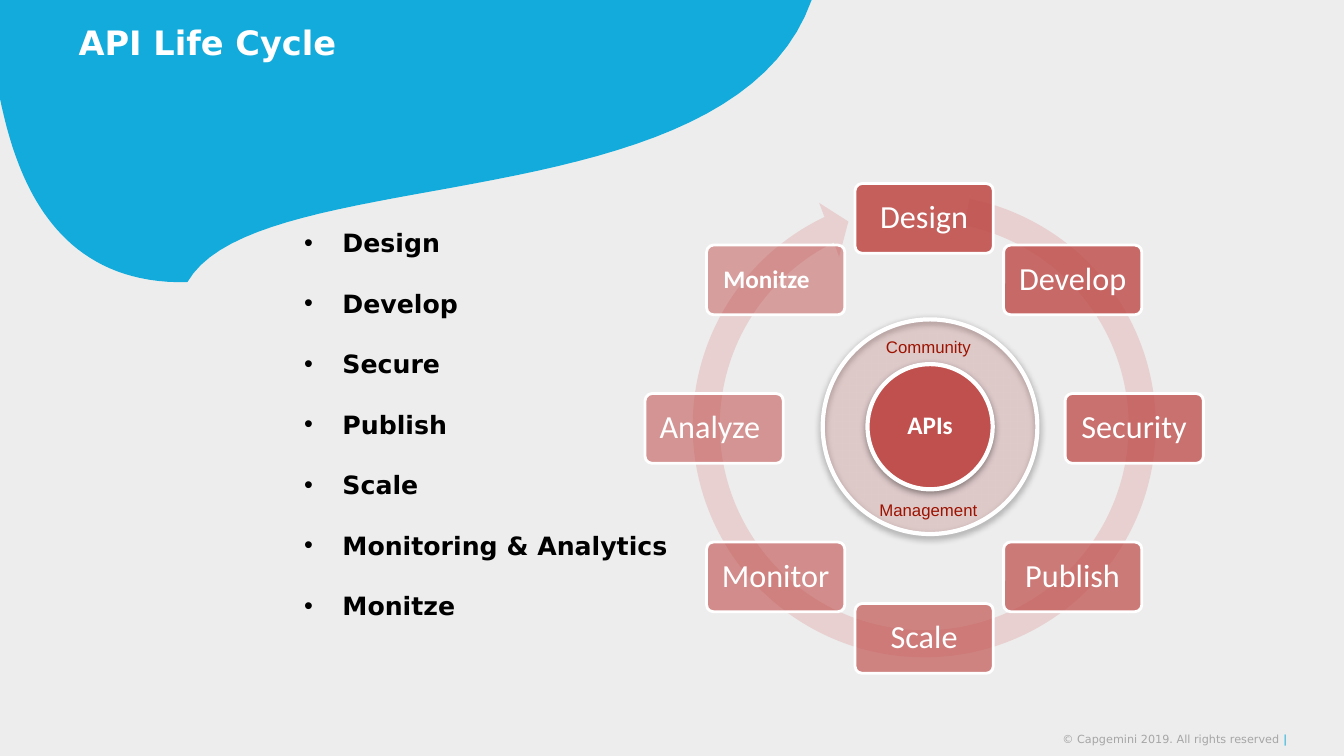
from math import cos, radians, sin

from lxml import etree
from pptx import Presentation
from pptx.dml.color import RGBColor
from pptx.enum.shapes import MSO_SHAPE
from pptx.enum.text import MSO_ANCHOR, MSO_AUTO_SIZE, PP_ALIGN
from pptx.oxml.ns import qn
from pptx.util import Inches, Pt

OVAL, ROUND, ARROW = MSO_SHAPE.OVAL, MSO_SHAPE.ROUNDED_RECTANGLE, MSO_SHAPE.CIRCULAR_ARROW
LEFT, CENTER, RIGHT = PP_ALIGN.LEFT, PP_ALIGN.CENTER, PP_ALIGN.RIGHT
TOP, MIDDLE = MSO_ANCHOR.TOP, MSO_ANCHOR.MIDDLE
FIXED = MSO_AUTO_SIZE.NONE

WHITE = RGBColor(0xFF, 0xFF, 0xFF)
BLACK = RGBColor(0, 0, 0)
PAPER = RGBColor(0xED, 0xED, 0xED)
BLUE = RGBColor(0x12, 0xAB, 0xDB)
GRAY = RGBColor(0xA6, 0xA6, 0xA6)
PINK = RGBColor(0xE8, 0xD0, 0xD0)
BRICK = RGBColor(0xC0, 0x50, 0x4D)
RED = RGBColor(0xC0, 0, 0)
WINE = RGBColor(0x9C, 0x12, 0)

SANS, BODY, LABEL = "DejaVu Sans", "Calibri", "Arial"
CELL = Inches(7.5) / 18  # the slide is 32 columns by 18 rows


def grid(*cells):
    return [round(cell * CELL) for cell in cells]


def curve(start, first, second, end, steps=40):
    """Return points along a cubic curve, without its start."""
    points = []
    for step in range(1, steps + 1):
        t = step / steps
        parts = ((1 - t) ** 3, 3 * t * (1 - t) ** 2, 3 * t * t * (1 - t), t ** 3)
        points.append(tuple(
            sum(part * value for part, value in zip(parts, axis))
            for axis in zip(start, first, second, end)))
    return points


class Page:
    def __init__(self, deck):
        self.slide = deck.slides.add_slide(deck.slide_layouts[1])
        self.shapes = self.slide.shapes
        self.slide.background.fill.solid()
        self.slide.background.fill.fore_color.rgb = PAPER

    def place(self, holder, box):
        holder.left, holder.top, holder.width, holder.height = grid(*box)

    def frame(self, shape, anchor=MIDDLE, pads=(0, 0, 0, 0), wrap=True):
        """Set up a text frame; pads are left, top, right, bottom in inches."""
        frame = shape.text_frame
        frame.auto_size = FIXED
        frame.word_wrap = wrap
        frame.vertical_anchor = anchor
        (frame.margin_left, frame.margin_top,
         frame.margin_right, frame.margin_bottom) = map(Inches, pads)
        return frame

    def run(self, para, text, size, color, font=SANS, bold=False):
        run = para.add_run()
        run.text = text
        run.font.size, run.font.name, run.font.bold = Pt(size), font, bold
        run.font.color.rgb = color

    def title(self, text, box):
        self.place(self.shapes.title, box)
        para = self.frame(self.shapes.title, pads=(0.3, 0.04, 0, 0)).paragraphs[0]
        para.alignment, para.line_spacing = LEFT, 0.9
        self.run(para, text, 24, WHITE, bold=True)

    def bullets(self, items, box):
        body = self.slide.placeholders[1]
        self.place(body, box)
        frame = self.frame(body, TOP, (0.1, 0.05, 0.1, 0.05))
        for i, item in enumerate(items):
            para = frame.add_paragraph() if i else frame.paragraphs[0]
            props = para._p.get_or_add_pPr()
            props.set("marL", str(Inches(0.38)))
            props.set("indent", str(-Inches(0.38)))
            para.line_spacing, para.space_before = 2.0, Pt(0)
            etree.SubElement(props, qn("a:buFont"), typeface=LABEL)
            etree.SubElement(props, qn("a:buChar"), char="•")
            self.run(para, item, 18, BLACK, bold=True)

    def text(self, runs, box, align=CENTER, wrap=False):
        area = self.shapes.add_textbox(*grid(*box))
        para = self.frame(area, wrap=wrap).paragraphs[0]
        para.alignment = align
        for run in runs:
            self.run(para, *run)

    def shape(self, kind, mid, size, color, alpha=100, line=0):
        """Add a preset shape centred on a grid point."""
        (x, y), (wide, high) = mid, size
        shape = self.shapes.add_shape(
            kind, *grid(x - wide / 2, y - high / 2, wide, high))
        self.paint(shape, color, line)
        if alpha < 100:
            tint = shape._element.spPr.find(qn("a:solidFill")).find(qn("a:srgbClr"))
            etree.SubElement(tint, qn("a:alpha"), val=str(alpha * 1000))
        return shape

    def paint(self, shape, color, line=0):
        shape.shadow.inherit = False
        shape.fill.solid()
        shape.fill.fore_color.rgb = color
        if line:
            shape.line.color.rgb, shape.line.width = WHITE, Pt(line)
        else:
            shape.line.fill.background()

    def label(self, shape, text, size, bold=False, pads=(0.1, 0.1, 0.1, 0.1)):
        para = self.frame(shape, pads=pads).paragraphs[0]
        para.alignment, para.line_spacing = CENTER, 0.9
        self.run(para, text, size, WHITE, BODY, bold)

    def disc(self, mid, size, color, alpha=100):
        disc = self.shape(OVAL, mid, (size, size), color, alpha, 3)
        effects = disc._element.spPr.find(qn("a:effectLst"))
        shade = etree.SubElement(
            effects, qn("a:outerShdw"), blurRad=str(Pt(5)), dist=str(Pt(1.6)),
            dir="5400000", rotWithShape="0")
        tint = etree.SubElement(shade, qn("a:srgbClr"), val=str(BLACK))
        etree.SubElement(tint, qn("a:alpha"), val="38000")
        return disc

    def wave(self, points, color):
        """Add a closed outline behind everything else."""
        first, *rest = [grid(*point) for point in points]
        pen = self.shapes.build_freeform(*first)
        pen.add_line_segments(rest, close=True)
        wave = pen.convert_to_shape()
        self.paint(wave, color)
        self.shapes._spTree.insert(2, wave._element)


def main():
    deck = Presentation()
    deck.slide_width, deck.slide_height = Inches(13.33), Inches(7.5)
    page = Page(deck)

    edge, dip, tip = (0, 2.35), (4.46, 6.72), (19.32, 0)
    page.wave([tip, (0, 0), edge,
               *curve(edge, (0.36, 4.06), (1.2, 6.79), dip),
               *curve(dip, (6.14, 3.77), (17.42, 5.38), tip)], BLUE)
    page.text([("© Capgemini 2019. All rights reserved ", 8, GRAY), ("|", 8, BLUE)],
              (23.66, 17.45, 6.98, 0.31), RIGHT, True)
    page.title("API Life Cycle", (1.15, -0.07, 15.96, 2.16))
    page.bullets(["Design", "Develop", "Secure", "Publish", "Scale",
                  "Monitoring & Analytics", "Monitze"], (7, 4.58, 18.96, 10.18))

    ring = page.shape(ARROW, (22, 10.14), (11.74, 11.74), PINK)
    for i, value in enumerate((0.055, 3.307, 146.484, 168.747, 0.058)):
        ring.adjustments[i] = value

    # Each step: name, text size, bold, right inset
    steps = [("Design", 23, False, 0.1), ("Develop", 23, False, 0.1),
             ("Security", 23, False, 0.1), ("Publish", 23, False, 0.1),
             ("Scale", 23, False, 0.1), ("Monitor", 23, False, 0.1),
             ("Analyze", 23, False, 0.18), ("Monitze", 18, True, 0.28)]
    for i, (name, size, bold, pad) in enumerate(steps):
        turn = radians(360 / len(steps) * i)
        mid = (22 + 5 * sin(turn), 10.2 - 5 * cos(turn))
        alpha = round(90 - 40 * i / (len(steps) - 1))
        card = page.shape(ROUND, mid, (3.29, 1.66), BRICK, alpha, 2)
        card.adjustments[0] = 0.1
        page.label(card, name, size, bold, (0.1, 0.1, pad, 0.1))

    hub = (22.14, 10.16)
    page.disc(hub, 5.11, RED, 11)
    for name, row in (("Community", 8.02), ("Management", 11.9)):
        page.text([(name, 12, WINE, LABEL)], (20.9, row, 2.4, 0.48))
    page.label(page.disc(hub, 2.98, BRICK), "APIs", 18, True)

    deck.save("out.pptx")


if __name__ == "__main__":
    main()
